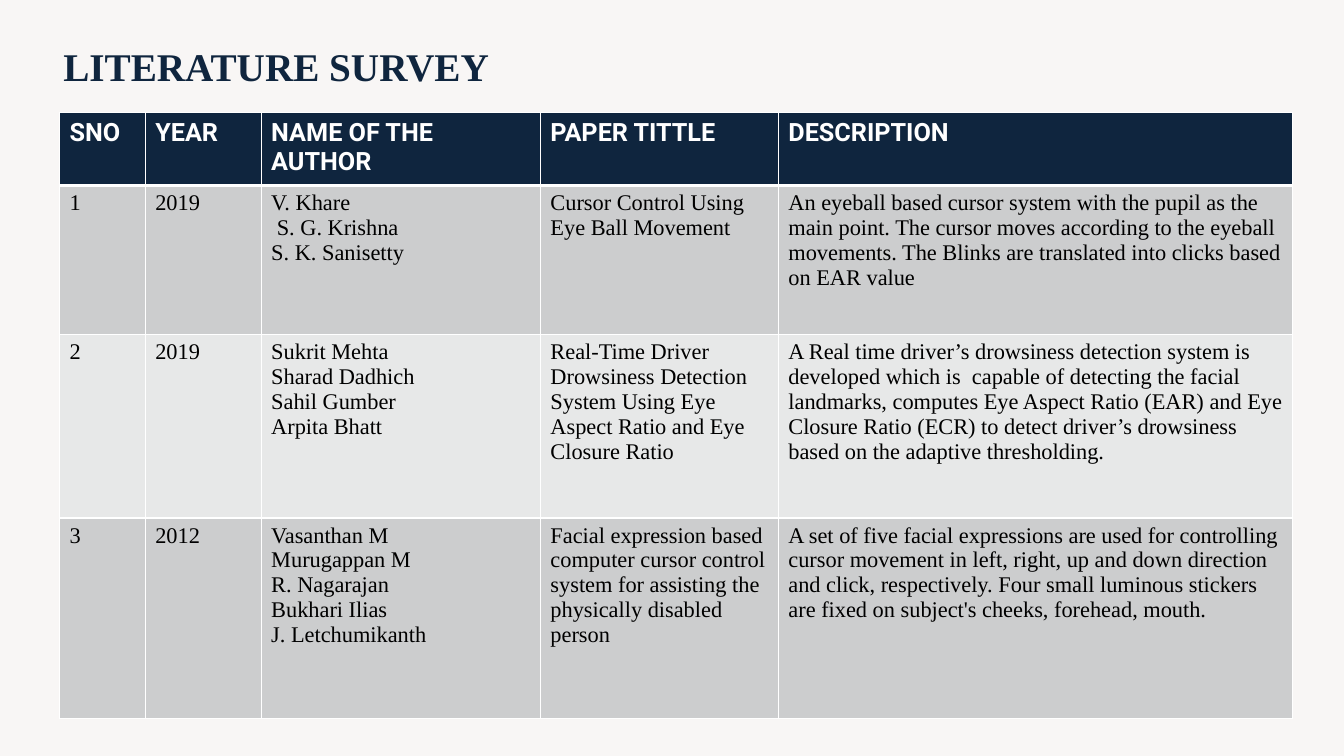
from dataclasses import dataclass

from lxml.etree import SubElement
from pptx import Presentation
from pptx.dml.color import RGBColor
from pptx.enum.text import MSO_ANCHOR as Anchor, PP_ALIGN as Align
from pptx.oxml.ns import qn
from pptx.util import Inches, Pt

COLORS = {
    "background": "F8F6F5",
    "navy": "0F253E",
    "white": "FFFFFF",
    "black": "000000",
    "dark band": "CCCDCE",
    "light band": "E7E8E8",
}
SERIF, SANS = "Times New Roman", "Roboto"
HEADINGS = ["SNO", "YEAR", "NAME OF THE AUTHOR", "PAPER TITTLE", "DESCRIPTION"]
AUTHOR_COLUMN = HEADINGS.index("NAME OF THE AUTHOR")
COLUMN_WIDTHS = [0.85, 1.15, 2.77, 2.36, 5.1]
ROW_HEIGHTS = [0.72, 1.48, 1.82, 1.99]


@dataclass(frozen=True)
class TextStyle:
    font: str
    size: int
    color: str
    bold: bool = False


@dataclass(frozen=True)
class Paper:
    year: int
    authors: list[str]
    title: str
    description: str


TITLE_STYLE = TextStyle(SERIF, 28, "navy", True)
HEADING_STYLE = TextStyle(SANS, 18, "white", True)
BODY_STYLE = TextStyle(SERIF, 16, "black")

PAPERS = [
    Paper(
        2019,
        ["V. Khare", " S. G. Krishna", "S. K. Sanisetty"],
        "Cursor Control Using Eye Ball Movement",
        "An eyeball based cursor system with the pupil as the main point. "
        "The cursor moves according to the eyeball movements. "
        "The Blinks are translated into clicks based on EAR value",
    ),
    Paper(
        2019,
        ["Sukrit Mehta", "Sharad Dadhich", "Sahil Gumber", "Arpita Bhatt"],
        "Real-Time Driver Drowsiness Detection System Using Eye Aspect Ratio "
        "and Eye Closure Ratio",
        "A Real time driver’s drowsiness detection system is developed which is "
        " capable of detecting the facial landmarks, computes Eye Aspect Ratio (EAR) "
        "and Eye Closure Ratio (ECR) to detect driver’s drowsiness based on the "
        "adaptive thresholding.",
    ),
    Paper(
        2012,
        ["Vasanthan M", "Murugappan M", "R. Nagarajan", "Bukhari Ilias",
         "J. Letchumikanth"],
        "Facial expression based computer cursor control system for assisting the "
        "physically disabled person",
        "A set of five facial expressions are used for controlling cursor movement "
        "in left, right, up and down direction and click, respectively. Four small "
        "luminous stickers are fixed on subject's cheeks, forehead, mouth.",
    ),
]


def rgb(name: str) -> RGBColor:
    return RGBColor.from_string(COLORS[name])


def write_lines(frame, lines: list[str], style: TextStyle, align=Align.LEFT) -> None:
    """Give each line its own paragraph."""
    for index, line in enumerate(lines):
        paragraph = frame.add_paragraph() if index else frame.paragraphs[0]
        paragraph.alignment = align
        run = paragraph.add_run()
        run.text = line
        run.font.name = style.font
        run.font.size = Pt(style.size)
        run.font.bold = style.bold
        run.font.color.rgb = rgb(style.color)


def add_borders(cell, top: int, bottom: int) -> None:
    """Draw white borders; top and bottom are widths in points."""
    properties = cell._tc.get_or_add_tcPr()
    for side, width in {"L": 1, "R": 1, "T": top, "B": bottom}.items():
        line = SubElement(properties, qn(f"a:ln{side}"), w=str(Pt(width)))
        fill = SubElement(line, qn("a:solidFill"))
        SubElement(fill, qn("a:srgbClr"), val=COLORS["white"])


def add_title(slide) -> None:
    box = slide.shapes.add_textbox(Inches(0.53), Inches(0.17), Inches(12.02), Inches(1.03))
    frame = box.text_frame
    frame.word_wrap = True
    frame.vertical_anchor = Anchor.MIDDLE
    write_lines(frame, ["LITERATURE SURVEY"], TITLE_STYLE)
    frame.paragraphs[0].line_spacing = 0.9


def add_survey(slide) -> None:
    rows = [[[heading] for heading in HEADINGS]]
    for number, paper in enumerate(PAPERS, start=1):
        rows.append([[str(number)], [str(paper.year)], paper.authors,
                     [paper.title], [paper.description]])

    survey = slide.shapes.add_table(
        len(rows), len(HEADINGS), Inches(0.59), Inches(1.12),
        Inches(sum(COLUMN_WIDTHS)), Inches(sum(ROW_HEIGHTS)),
    ).table
    for column, width in zip(survey.columns, COLUMN_WIDTHS):
        column.width = Inches(width)
    for row, height in zip(survey.rows, ROW_HEIGHTS):
        row.height = Inches(height)

    for r, row in enumerate(rows):
        is_header = r == 0
        band = "navy" if is_header else "dark band" if r % 2 else "light band"
        for c, lines in enumerate(row):
            cell = survey.cell(r, c)
            add_borders(cell, top=3 if r == 1 else 1, bottom=3 if is_header else 1)
            cell.fill.solid()
            cell.fill.fore_color.rgb = rgb(band)
            justified = c == AUTHOR_COLUMN and not is_header
            write_lines(cell.text_frame, lines,
                        HEADING_STYLE if is_header else BODY_STYLE,
                        Align.JUSTIFY if justified else Align.LEFT)


def main() -> None:
    deck = Presentation()
    deck.slide_width, deck.slide_height = Inches(13.33), Inches(7.5)
    slide = deck.slides.add_slide(deck.slide_layouts[6])
    slide.background.fill.solid()
    slide.background.fill.fore_color.rgb = rgb("background")
    add_title(slide)
    add_survey(slide)
    deck.save("out.pptx")


if __name__ == "__main__":
    main()
